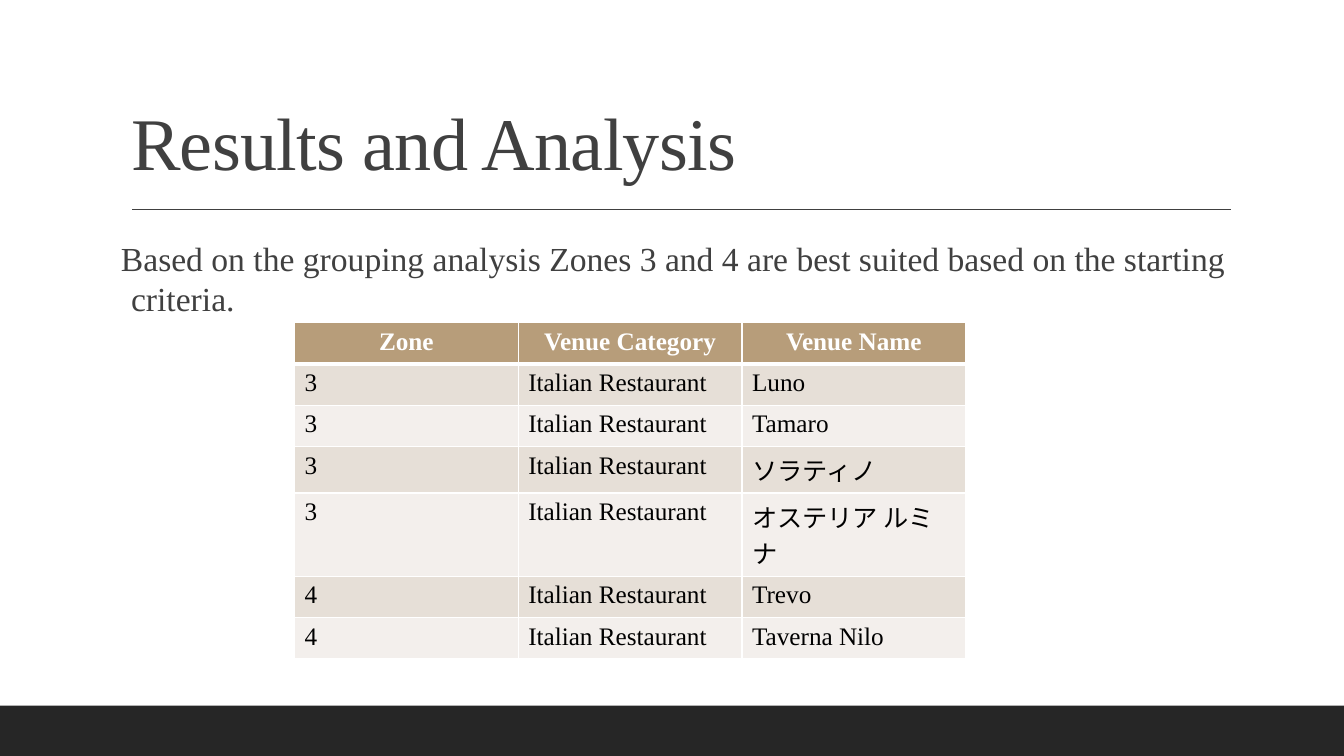
from dataclasses import dataclass
from typing import NamedTuple

from lxml import etree
from pptx import Presentation
from pptx.dml.color import RGBColor
from pptx.enum.shapes import MSO_CONNECTOR, MSO_SHAPE
from pptx.enum.text import MSO_ANCHOR, MSO_AUTO_SIZE, PP_ALIGN
from pptx.oxml.ns import qn
from pptx.util import Inches, Pt

RECTANGLE = MSO_SHAPE.RECTANGLE
STRAIGHT = MSO_CONNECTOR.STRAIGHT
BOTTOM, TOP = MSO_ANCHOR.BOTTOM, MSO_ANCHOR.TOP
LEFT, CENTER = PP_ALIGN.LEFT, PP_ALIGN.CENTER
NO_AUTOFIT = MSO_AUTO_SIZE.NONE


@dataclass(frozen=True)
class Theme:
    font: str = "Times New Roman"
    text: str = "404040"
    footer: str = "262626"
    accent: str = "B79D7A"
    white: str = "FFFFFF"
    black: str = "000000"
    bands: tuple[str, str] = ("E6DFD7", "F3EFEC")
    title_size: float = 53
    body_size: float = 24
    table_size: float = 18


class Venue(NamedTuple):
    zone: str
    category: str
    name: str


class Box(NamedTuple):
    left: float
    top: float
    width: float
    height: float


THEME = Theme()
HEADINGS = Venue("Zone", "Venue Category", "Venue Name")
CUISINE = "Italian Restaurant"
VENUES = [
    Venue("3", CUISINE, "Luno"),
    Venue("3", CUISINE, "Tamaro"),
    Venue("3", CUISINE, "ソラティノ"),
    Venue("3", CUISINE, "オステリア ルミナ"),
    Venue("4", CUISINE, "Trevo"),
    Venue("4", CUISINE, "Taverna Nilo"),
]
COLUMN_WIDTH, ROW_HEIGHT = 2.22, 0.41


def color(code: str) -> RGBColor:
    return RGBColor.from_string(code)


def add_run(paragraph, text: str, size: float, code: str, bold: bool = False):
    run = paragraph.add_run()
    run.text = text
    run.font.name = THEME.font
    run.font.size = Pt(size)
    run.font.bold = bold
    run.font.color.rgb = color(code)
    return run


def place(shape, box: Box) -> None:
    shape.left, shape.top, shape.width, shape.height = map(Inches, box)


def add_title(slide, text: str) -> None:
    title = slide.shapes.title
    place(title, Box(1.2, 0.31, 11, 1.59))
    frame = title.text_frame
    frame.auto_size = NO_AUTOFIT
    frame.vertical_anchor = BOTTOM
    paragraph = frame.paragraphs[0]
    paragraph.alignment = LEFT
    paragraph.line_spacing = 0.9
    run = add_run(paragraph, text, THEME.title_size, THEME.text)
    run.font._element.set("spc", "-50")


def add_finding(slide, text: str) -> None:
    body = slide.placeholders[1]
    place(body, Box(1.2, 2.31, 11, 4.11))
    frame = body.text_frame
    frame.auto_size = NO_AUTOFIT
    frame.vertical_anchor = TOP
    frame.margin_left = frame.margin_right = 0
    frame.margin_top = frame.margin_bottom = Inches(0.05)
    paragraph = frame.paragraphs[0]
    paragraph.space_before, paragraph.space_after = Pt(0), Pt(2)
    properties = paragraph._p.get_or_add_pPr()
    properties.set("marL", str(Inches(0.1)))
    properties.set("indent", str(-Inches(0.1)))
    etree.SubElement(properties, qn("a:buNone"))
    add_run(paragraph, text, THEME.body_size, THEME.text)


def set_borders(cell, bottom_width: float) -> None:
    properties = cell._tc.get_or_add_tcPr()
    sides = {"a:lnL": 1, "a:lnR": 1, "a:lnT": 1, "a:lnB": bottom_width}
    for position, (side, width) in enumerate(sides.items()):
        line = etree.Element(qn(side), w=str(Pt(width)))
        fill = etree.SubElement(line, qn("a:solidFill"))
        etree.SubElement(fill, qn("a:srgbClr"), val=THEME.white)
        properties.insert(position, line)


def add_venue_table(slide, left: float, top: float) -> None:
    rows = [HEADINGS, *VENUES]
    table = slide.shapes.add_table(
        len(rows), len(HEADINGS), Inches(left), Inches(top),
        Inches(COLUMN_WIDTH * len(HEADINGS)), Inches(ROW_HEIGHT * len(rows))).table
    for column in table.columns:
        column.width = Inches(COLUMN_WIDTH)
    for row_number, venue in enumerate(rows):
        heading = row_number == 0
        table.rows[row_number].height = Inches(ROW_HEIGHT)
        band = THEME.accent if heading else THEME.bands[(row_number - 1) % 2]
        for column_number, text in enumerate(venue):
            cell = table.cell(row_number, column_number)
            cell.fill.solid()
            cell.fill.fore_color.rgb = color(band)
            set_borders(cell, 3 if heading else 1)
            paragraph = cell.text_frame.paragraphs[0]
            paragraph.alignment = CENTER if heading else LEFT
            add_run(paragraph, text, THEME.table_size,
                    THEME.white if heading else THEME.black, heading)


def add_footer_band(slide, box: Box) -> None:
    band = slide.shapes.add_shape(RECTANGLE, *map(Inches, box))
    band.shadow.inherit = False
    band.fill.solid()
    band.fill.fore_color.rgb = color(THEME.footer)
    band.line.fill.background()


def add_title_rule(slide, left: float, right: float, y: float) -> None:
    rule = slide.shapes.add_connector(
        STRAIGHT, Inches(left), Inches(y), Inches(right), Inches(y))
    rule.line.color.rgb = color(THEME.text)
    rule.line.width = Pt(1)
    etree.SubElement(rule._element.spPr, qn("a:effectLst"))


def main() -> None:
    presentation = Presentation()
    presentation.slide_width = Inches(13.33)
    presentation.slide_height = Inches(7.5)
    slide = presentation.slides.add_slide(presentation.slide_layouts[1])

    # Page frame
    add_footer_band(slide, Box(0, 7, 13.33, 0.5))
    add_title_rule(slide, 1.31, 12.21, 2.08)

    # Heading and finding
    add_title(slide, "Results and Analysis")
    add_finding(slide, "Based on the grouping analysis Zones 3 and 4 are best "
                       "suited based on the starting criteria.")

    # Venues in the suited zones
    add_venue_table(slide, 2.92, 3.2)
    presentation.save("out.pptx")


if __name__ == "__main__":
    main()
